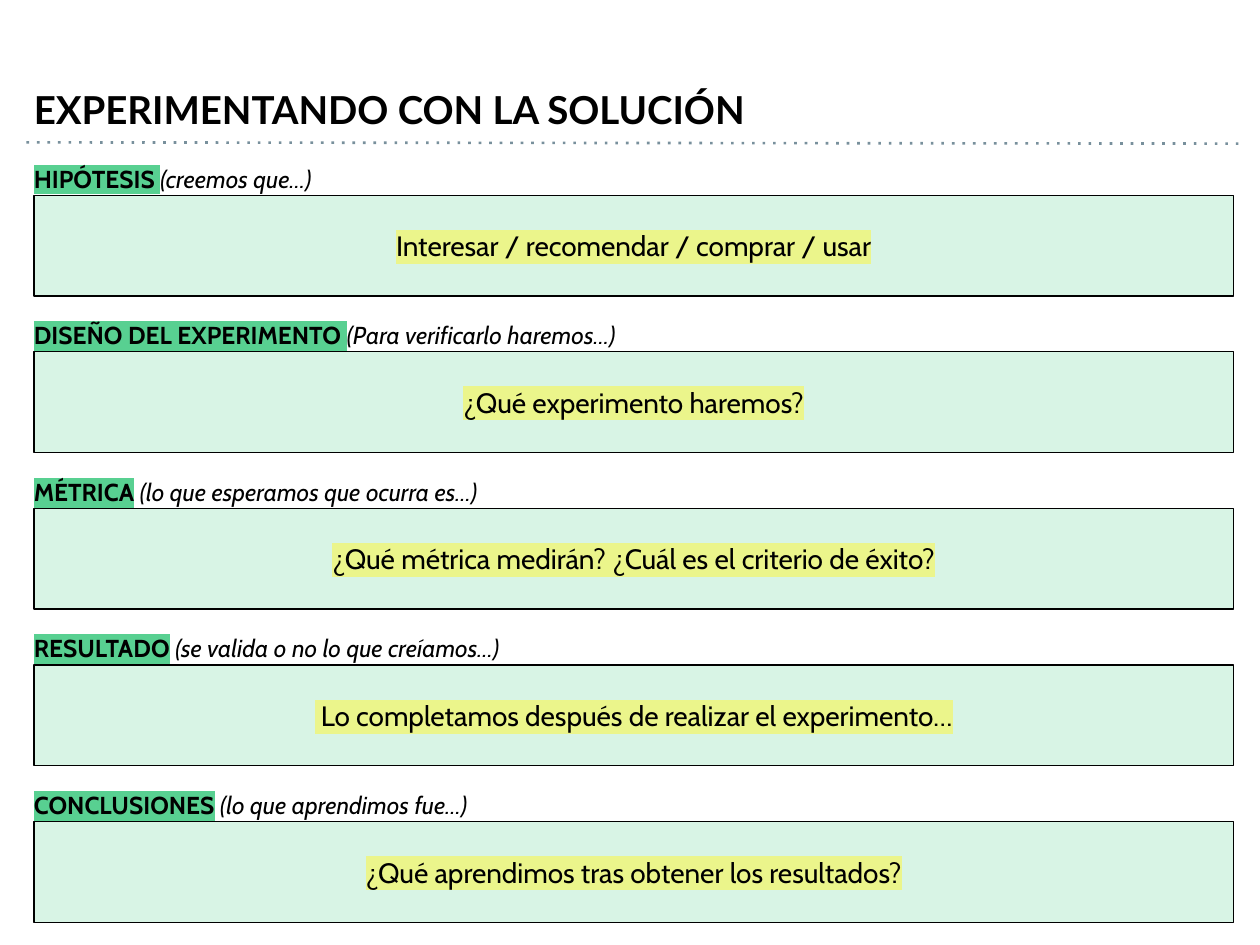
from lxml import etree
from pptx import Presentation
from pptx.dml.color import RGBColor
from pptx.enum.shapes import MSO_CONNECTOR, MSO_SHAPE
from pptx.enum.text import MSO_ANCHOR, MSO_AUTO_SIZE, PP_ALIGN
from pptx.oxml.ns import qn
from pptx.util import Pt

STRAIGHT = MSO_CONNECTOR.STRAIGHT
RECTANGLE = MSO_SHAPE.RECTANGLE
MIDDLE = MSO_ANCHOR.MIDDLE
GROW = MSO_AUTO_SIZE.SHAPE_TO_FIT_TEXT
CENTER, JUSTIFY = PP_ALIGN.CENTER, PP_ALIGN.JUSTIFY

BLACK = RGBColor(0x00, 0x00, 0x00)
GREEN = RGBColor(0x58, 0xD0, 0x91)
YELLOW = RGBColor(0xEB, 0xF5, 0x8B)
SLATE = RGBColor(0x78, 0x90, 0x9C)

TITLE_FONT = {"name": "Lato", "size": Pt(22), "bold": True}
HEADING_FONT = {"name": "Cabin", "size": Pt(14), "bold": True}
HINT_FONT = {"name": "Cabin", "size": Pt(14), "italic": True}
PROMPT_FONT = {"name": "Cabin", "size": Pt(16)}
FRAME = {
    "word_wrap": True,
    "margin_left": Pt(7.2), "margin_right": Pt(7.2),
    "margin_top": Pt(7.2), "margin_bottom": Pt(7.2),
}

# Heading, hint, label width, prompt
SECTIONS = [
    ("HIPÓTESIS ", "(creemos que…)", 282.24,
     "Interesar / recomendar / comprar / usar"),
    ("DISEÑO DEL EXPERIMENTO ", "(Para verificarlo haremos…)", 403.92,
     "¿Qué experimento haremos?"),
    ("MÉTRICA", " (lo que esperamos que ocurra es…)", 316.8,
     "¿Qué métrica medirán? ¿Cuál es el criterio de éxito?"),
    ("RESULTADO", " (se valida o no lo que creíamos…)", 335.52,
     " Lo completamos después de realizar el experimento…"),
    ("CONCLUSIONES", " (lo que aprendimos fue…)", 282.24,
     "¿Qué aprendimos tras obtener los resultados?"),
]
LABEL_TOP, BOX_TOP, PITCH = 86.4, 111.6, 89.46


def set_frame(frame, **extra):
    for key, value in {**FRAME, **extra}.items():
        setattr(frame, key, value)
    return frame.paragraphs[0]


def add_run(paragraph, text, font_format, highlight=None):
    run = paragraph.add_run()
    run.text = text
    for key, value in font_format.items():
        setattr(run.font, key, value)
    run.font.color.rgb = BLACK
    if highlight is not None:
        mark = etree.Element(qn("a:highlight"))
        etree.SubElement(mark, qn("a:srgbClr"), val=str(highlight))
        # The schema wants the highlight right after the text fill
        run.font._element.find(qn("a:solidFill")).addnext(mark)


prs = Presentation()
prs.slide_width, prs.slide_height = Pt(720), Pt(540)
slide = prs.slides.add_slide(prs.slide_layouts[6])
shapes = slide.shapes

divider = shapes.add_connector(STRAIGHT, Pt(15.12), Pt(81.36), Pt(709.2), Pt(82.08))
divider.line.color.rgb = SLATE
divider.line.width = Pt(1.5)
etree.SubElement(divider.line._get_or_add_ln(), qn("a:prstDash"), val="dot")
etree.SubElement(divider._element.spPr, qn("a:effectLst"))

for row, (heading, hint, label_width, prompt) in enumerate(SECTIONS):
    offset = row * PITCH
    label = shapes.add_textbox(Pt(12.24), Pt(LABEL_TOP + offset), Pt(label_width), Pt(31.68))
    label_line = set_frame(label.text_frame, auto_size=GROW)
    add_run(label_line, heading, HEADING_FONT, GREEN)
    add_run(label_line, hint, HINT_FONT)

    box = shapes.add_shape(RECTANGLE, Pt(19.44), Pt(BOX_TOP + offset), Pt(685.44), Pt(57.6))
    box.shadow.inherit = False
    box.fill.solid()
    box.fill.fore_color.rgb = GREEN
    fill_color = box._element.spPr.find(qn("a:solidFill"))[0]
    etree.SubElement(fill_color, qn("a:alpha"), val="23000")
    box.line.color.rgb = BLACK
    box.line.width = Pt(0.75)
    prompt_line = set_frame(box.text_frame, vertical_anchor=MIDDLE)
    prompt_line.alignment = CENTER
    add_run(prompt_line, prompt, PROMPT_FONT, YELLOW)

title = shapes.add_textbox(Pt(12.24), Pt(28.8), Pt(587.52), Pt(51.84))
title_line = set_frame(title.text_frame)
title_line.alignment = JUSTIFY
title_line.line_spacing = 1.5
title_line.space_after = Pt(16)
add_run(title_line, "EXPERIMENTANDO CON LA SOLUCIÓN", TITLE_FONT)

prs.save("out.pptx")
